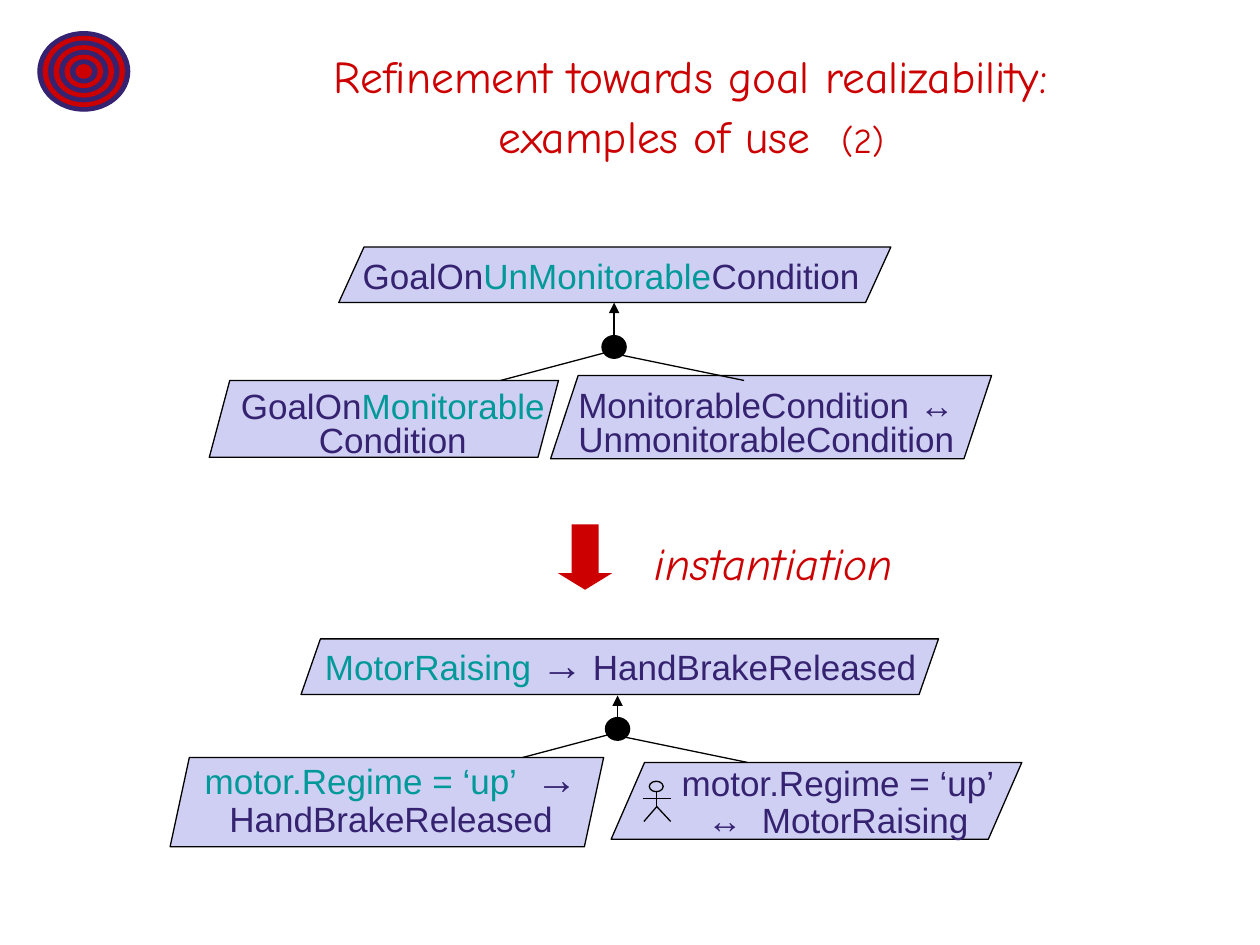
from typing import NamedTuple, Optional

from lxml.etree import SubElement
from pptx import Presentation
from pptx.dml.color import RGBColor
from pptx.enum.shapes import MSO_CONNECTOR as Connector, MSO_SHAPE as Shape
from pptx.enum.text import MSO_ANCHOR as Anchor, PP_ALIGN as Align
from pptx.oxml.ns import qn
from pptx.util import Cm, Pt

BLACK = RGBColor(0x00, 0x00, 0x00)
INDIGO = RGBColor(0x35, 0x22, 0x70)
TEAL = RGBColor(0x00, 0x99, 0x99)
RED = RGBColor(0xCC, 0x00, 0x00)
LAVENDER = RGBColor(0xCE, 0xCF, 0xF2)
BODY_FONT = "Arial"
TITLE_FONT = "Comic Neue"


class Span(NamedTuple):
    """A piece of a line; unset values follow the paragraph."""
    text: str
    color: Optional[RGBColor] = None
    size: Optional[float] = None
    bold: Optional[bool] = None


class Line(NamedTuple):
    spans: list
    spacing: float = 0.8


def add_figure(shapes, kind, box, fill=None, outline=BLACK, weight=0.75, adjust=()):
    figure = shapes.add_shape(kind, *map(Cm, box))
    figure.shadow.inherit = False
    if fill is None:
        figure.fill.background()
    else:
        figure.fill.solid()
        figure.fill.fore_color.rgb = fill
    if outline is None:
        figure.line.fill.background()
    else:
        figure.line.color.rgb = outline
        figure.line.width = Pt(weight)
    for index, value in enumerate(adjust):
        figure.adjustments[index] = value


def add_stroke(shapes, start, end, arrow_at_start=False):
    stroke = shapes.add_connector(Connector.STRAIGHT, *map(Cm, (*start, *end)))
    stroke.line.color.rgb = BLACK
    stroke.line.width = Pt(0.75)
    properties = stroke._element.spPr
    if arrow_at_start:
        SubElement(properties.find(qn("a:ln")), qn("a:headEnd"), type="triangle")
    SubElement(properties, qn("a:effectLst"))


def add_text(shapes, box, lines, font=BODY_FONT, size=20, color=INDIGO,
             align=Align.CENTER, anchor=Anchor.TOP, italic=None):
    frame = shapes.add_textbox(*map(Cm, box)).text_frame
    frame.word_wrap = True
    frame.vertical_anchor = anchor
    if align == Align.LEFT:
        frame.margin_right = 0
    for index, line in enumerate(lines):
        paragraph = frame.add_paragraph() if index else frame.paragraphs[0]
        paragraph.alignment = align
        paragraph.line_spacing = line.spacing
        paragraph.font.name = font
        paragraph.font.size = Pt(size)
        paragraph.font.color.rgb = color
        paragraph.font.italic = italic
        for span in line.spans:
            run = paragraph.add_run()
            run.text = span.text
            if span.color is not None:
                run.font.color.rgb = span.color
            if span.size is not None:
                run.font.size = Pt(span.size)
            if span.bold is not None:
                run.font.bold = span.bold


def add_goal(shapes, box, slant):
    add_figure(shapes, Shape.PARALLELOGRAM, box, LAVENDER, adjust=[slant])


def add_refinement(shapes, x, y, parent_bottom):
    """Dot at (x, y) with an arrow to the parent goal and links to two subgoals."""
    add_stroke(shapes, (x, parent_bottom), (x, y - 0.18), arrow_at_start=True)
    add_stroke(shapes, (x - 0.18, y + 0.11), (x - 2.29, y + 0.67))
    add_stroke(shapes, (x + 0.15, y + 0.16), (x + 2.62, y + 0.67))
    add_figure(shapes, Shape.OVAL, (x - 0.23, y - 0.22, 0.46, 0.43), BLACK, weight=1.5)


def add_pattern(shapes):
    add_goal(shapes, (11.1, 7.57, 8.89, 1.68), 0.331)
    add_goal(shapes, (6.83, 4.98, 11.13, 1.12), 0.455)
    add_refinement(shapes, 12.38, 7, 6.1)
    add_goal(shapes, (4.22, 7.67, 7.04, 1.55), 0.267)
    add_text(shapes, (7.06, 5, 10.87, 0.99), [
        Line([Span("GoalOn"), Span("UnMonitorable", TEAL), Span("Condition")], 1.0),
    ], align=Align.LEFT)
    add_text(shapes, (4.39, 7.8, 7.06, 1.45), [
        Line([Span("GoalOn"), Span("Monitorable", TEAL)]),
        Line([Span("Condition")]),
    ])
    add_text(shapes, (11.35, 7.77, 8.2, 1.45), [
        Line([Span("MonitorableCondition "), Span("↔", bold=True)]),
        Line([Span("UnmonitorableCondition")]),
    ])


def add_instance(shapes):
    add_goal(shapes, (12.32, 15.37, 8.28, 1.55), 0.436)
    add_goal(shapes, (6.07, 12.88, 12.85, 1.12), 0.349)
    add_refinement(shapes, 12.45, 14.7, 14.02)
    add_goal(shapes, (3.43, 15.27, 8.74, 1.8), 0.216)
    add_text(shapes, (6.3, 12.95, 12.45, 0.99), [
        Line([Span("MotorRaising ", TEAL), Span("→", size=24),
              Span(" HandBrakeReleased")]),
    ], align=Align.LEFT)
    add_text(shapes, (3.58, 15.24, 8.61, 1.45), [
        Line([Span("motor.Regime = ‘up’  ", TEAL), Span("→", size=24)]),
        Line([Span("HandBrakeReleased")], 0.9),
    ])
    add_text(shapes, (13.11, 15.39, 7.57, 1.55), [
        Line([Span("motor.Regime = ‘up’")]),
        Line([Span("↔  MotorRaising")], 0.9),
    ])


def add_instantiation(shapes):
    add_figure(shapes, Shape.DOWN_ARROW, (11.25, 10.57, 1.09, 1.32), RED,
               outline=None, adjust=[0.5, 0.306])
    add_text(shapes, (12.95, 10.67, 6.55, 0.99), [Line([Span("instantiation")], 1.0)],
             TITLE_FONT, 26, RED, Align.LEFT, italic=True)


def add_title(shapes):
    add_text(shapes, (2.49, 0.79, 22.89, 2.57), [
        Line([Span("Refinement towards goal realizability:")], 1.1),
        Line([Span("examples of use  "), Span("(2)", size=20)], 1.1),
    ], TITLE_FONT, 26, RED, anchor=Anchor.MIDDLE)


def add_target(shapes):
    rings = shapes.add_group_shape().shapes
    for ring in range(8):
        width, height = 1.85 - 0.22 * ring, 1.6 - 0.19 * ring
        color = RED if ring % 2 else INDIGO
        add_figure(rings, Shape.OVAL,
                   (1.69 - width / 2, 1.44 - height / 2, width, height), color, color)


def add_actor(shapes):
    """Stick figure marking the agent's assumption."""
    parts = shapes.add_group_shape().shapes
    x, hip = 13.24, 16.26
    add_figure(parts, Shape.OVAL, (x - 0.15, 15.75, 0.28, 0.21))
    add_stroke(parts, (x, 15.97), (x, hip))
    add_stroke(parts, (x - 0.28, 16.1), (x + 0.28, 16.1))
    for foot in (-0.26, 0.28):
        add_stroke(parts, (x, hip), (x + foot, hip + 0.3))


def main():
    deck = Presentation()
    deck.slide_width, deck.slide_height = Cm(25.4), Cm(19.05)
    shapes = deck.slides.add_slide(deck.slide_layouts[6]).shapes
    add_pattern(shapes)
    add_instance(shapes)
    add_instantiation(shapes)
    add_title(shapes)
    add_target(shapes)
    add_actor(shapes)
    deck.save("out.pptx")


if __name__ == "__main__":
    main()
